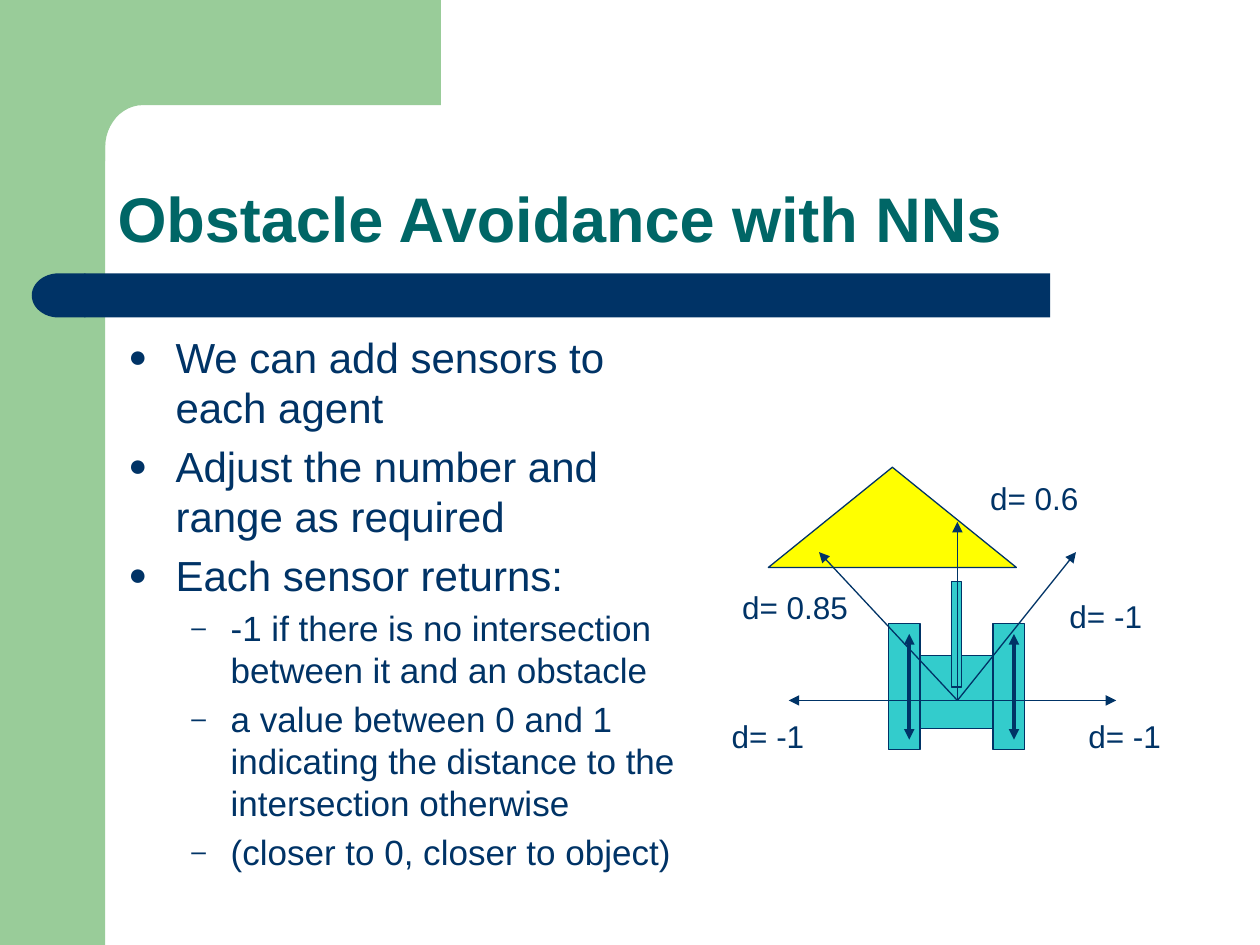
"""Build the slide on obstacle avoidance with sensors."""
from math import cos, sin, pi
from lxml.etree import SubElement
from pptx import Presentation
from pptx.dml.color import RGBColor
from pptx.enum.shapes import MSO_CONNECTOR, MSO_SHAPE
from pptx.enum.text import MSO_ANCHOR
from pptx.oxml.ns import qn
from pptx.util import Cm, Pt

COLORS = {"green": "99CC99", "navy": "003366", "teal": "006666",
          "aqua": "33CCCC", "yellow": "FFFF00"}
HUES = {name: RGBColor.from_string(code) for name, code in COLORS.items()}


def paint(shape, fill, edge=None):
    shape.shadow.inherit = False
    shape.fill.solid()
    shape.fill.fore_color.rgb = HUES[fill]
    if edge:
        shape.line.color.rgb = HUES[edge]
        shape.line.width = Pt(0.75)
    else:
        shape.line.fill.background()


def arrow(home, start, end, width, tips):
    line = home.add_connector(MSO_CONNECTOR.STRAIGHT, *map(Cm, start + end))
    line.line.color.rgb = HUES["navy"]
    line.line.width = Pt(width)
    props = line._element.spPr
    for tip in tips:
        SubElement(props.find(qn("a:ln")), qn(tip), type="triangle")
    SubElement(props, qn("a:effectLst"))


deck = Presentation()
deck.slide_width, deck.slide_height = Cm(25.4), Cm(19.05)
shapes = deck.slides.add_slide(deck.slide_layouts[6]).shapes

band = shapes.add_shape(MSO_SHAPE.RECTANGLE, 0, 0, Cm(2.12), Cm(19.05))
paint(band, "green")

curve = [(2.88 - 0.76 * sin(step * pi / 24), 2.98 - 0.86 * cos(step * pi / 24))
         for step in range(13)]
points = [(8.89, 2.12), *curve, (2.12, 3.25), (1.27, 3.25), (1.27, 0)]
pen = shapes.build_freeform(Cm(8.89), 0)
pen.add_line_segments([(Cm(x), Cm(y)) for x, y in points], close=True)
paint(pen.convert_to_shape(), "green")

bar = shapes.add_shape(MSO_SHAPE.RECTANGLE, Cm(1.7), Cm(5.51), Cm(19.47), Cm(0.89))
paint(bar, "navy")
cap = shapes.add_shape(MSO_SHAPE.FLOWCHART_DELAY, Cm(0.64), Cm(5.51), Cm(1.08), Cm(0.89))
cap.rotation = 180
paint(cap, "navy")

block = shapes.add_shape(MSO_SHAPE.ISOSCELES_TRIANGLE, Cm(15.49), Cm(9.42), Cm(5), Cm(2.02))
paint(block, "yellow", "navy")

title = shapes.add_textbox(Cm(2.12), Cm(2.12), Cm(22.01), Cm(3.17)).text_frame
title.word_wrap = True
title.vertical_anchor = MSO_ANCHOR.BOTTOM
para = title.paragraphs[0]
para.line_spacing = 0.9
run = para.add_run()
run.text = "Obstacle Avoidance with NNs"
run.font.name, run.font.size, run.font.bold = "Arial", Pt(36), True
run.font.color.rgb = HUES["teal"]

LEVELS = [(24, 0.95, 0.95, "●"), (20, 2.06, 0.79, "–")]
ITEMS = [
    (0, "We can add sensors to each agent"),
    (0, "Adjust the number and range as required"),
    (0, "Each sensor returns:"),
    (1, "-1 if there is no intersection between it and an obstacle"),
    (1, "a value between 0 and 1 indicating the distance to the intersection otherwise"),
    (1, "(closer to 0, closer to object)"),
]
body = shapes.add_textbox(Cm(2.34), Cm(6.55), Cm(11.58), Cm(11.56)).text_frame
body.word_wrap = True
for index, (level, text) in enumerate(ITEMS):
    para = body.add_paragraph() if index else body.paragraphs[0]
    size, left, hang, mark = LEVELS[level]
    para.level = level
    para.space_before = Pt(size * 0.2)
    props = para._p.get_or_add_pPr()
    props.set("marL", str(Cm(left)))
    props.set("indent", str(-Cm(hang)))
    SubElement(SubElement(props, qn("a:buClr")), qn("a:srgbClr"), val=COLORS["navy"])
    SubElement(props, qn("a:buSzPct"), val="75000")
    SubElement(props, qn("a:buFont"), typeface="Arial")
    SubElement(props, qn("a:buChar"), char=mark)
    run = para.add_run()
    run.text = text
    run.font.name, run.font.size = "Arial", Pt(size)
    run.font.color.rgb = HUES["navy"]

robot = shapes.add_group_shape().shapes
PARTS = [(18.54, 13.21, 1.48, 1.48), (17.91, 12.57, 0.64, 2.54),
         (19.18, 11.73, 0.21, 2.12), (20.02, 12.57, 0.64, 2.54)]
for place in PARTS:
    part = robot.add_shape(MSO_SHAPE.RECTANGLE, *map(Cm, place))
    paint(part, "aqua", "navy")
for x in (18.33, 20.44):
    arrow(robot, (x, 14.91), (x, 12.78), 2, ["a:headEnd", "a:tailEnd"])

for end in [(22.5, 14.12), (15.9, 14.12), (19.3, 10.52), (21.69, 11.13), (16.51, 11.13)]:
    arrow(shapes, (19.3, 14.12), end, 0.75, ["a:tailEnd"])

LABELS = [(21.69, 14.33, 2.49, "d= -1"), (14.5, 14.33, 2.49, "d= -1"),
          (21.31, 11.91, 2.49, "d= -1"), (19.71, 9.53, 2.49, "d= 0.6"),
          (14.71, 11.73, 2.9, "d= 0.85")]
for left, top, width, text in LABELS:
    label = shapes.add_textbox(Cm(left), Cm(top), Cm(width), Cm(1.02)).text_frame
    label.word_wrap = True
    run = label.paragraphs[0].add_run()
    run.text = text
    run.font.name, run.font.size = "Arial", Pt(18)
    run.font.color.rgb = HUES["navy"]

deck.save("out.pptx")
